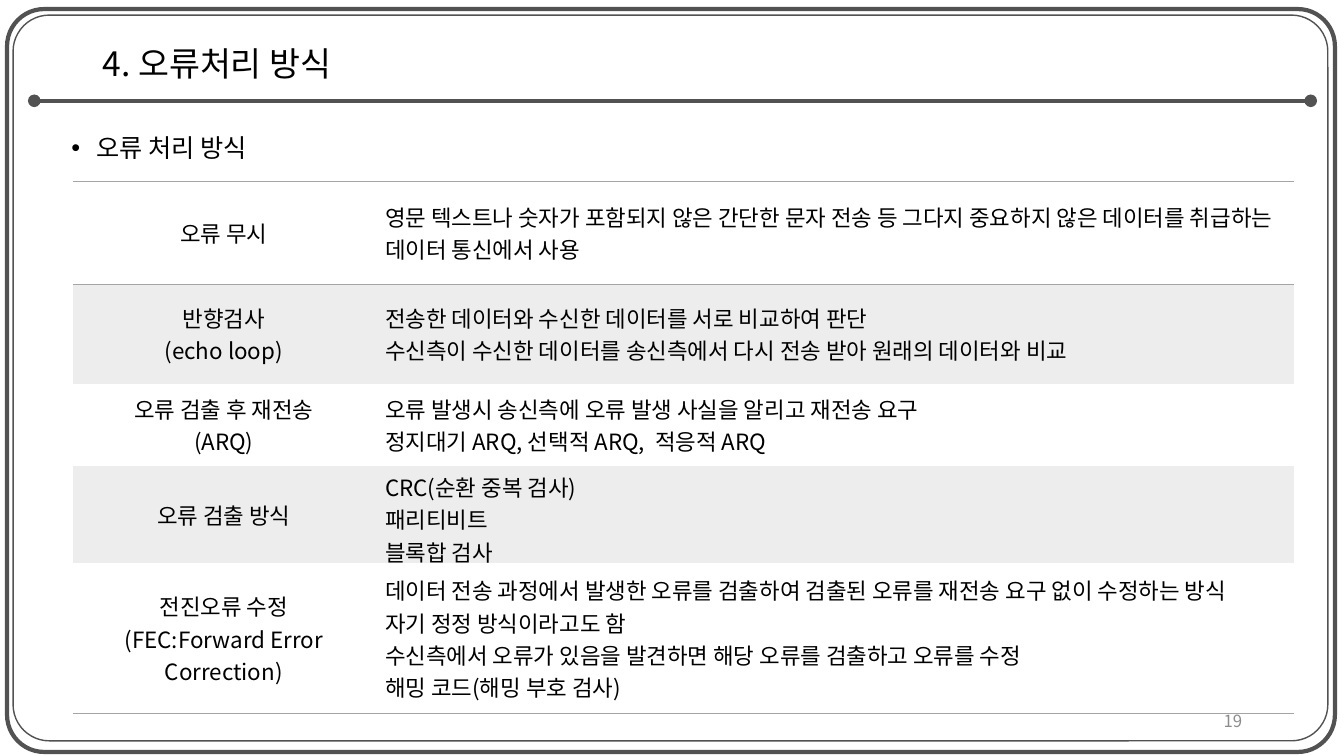
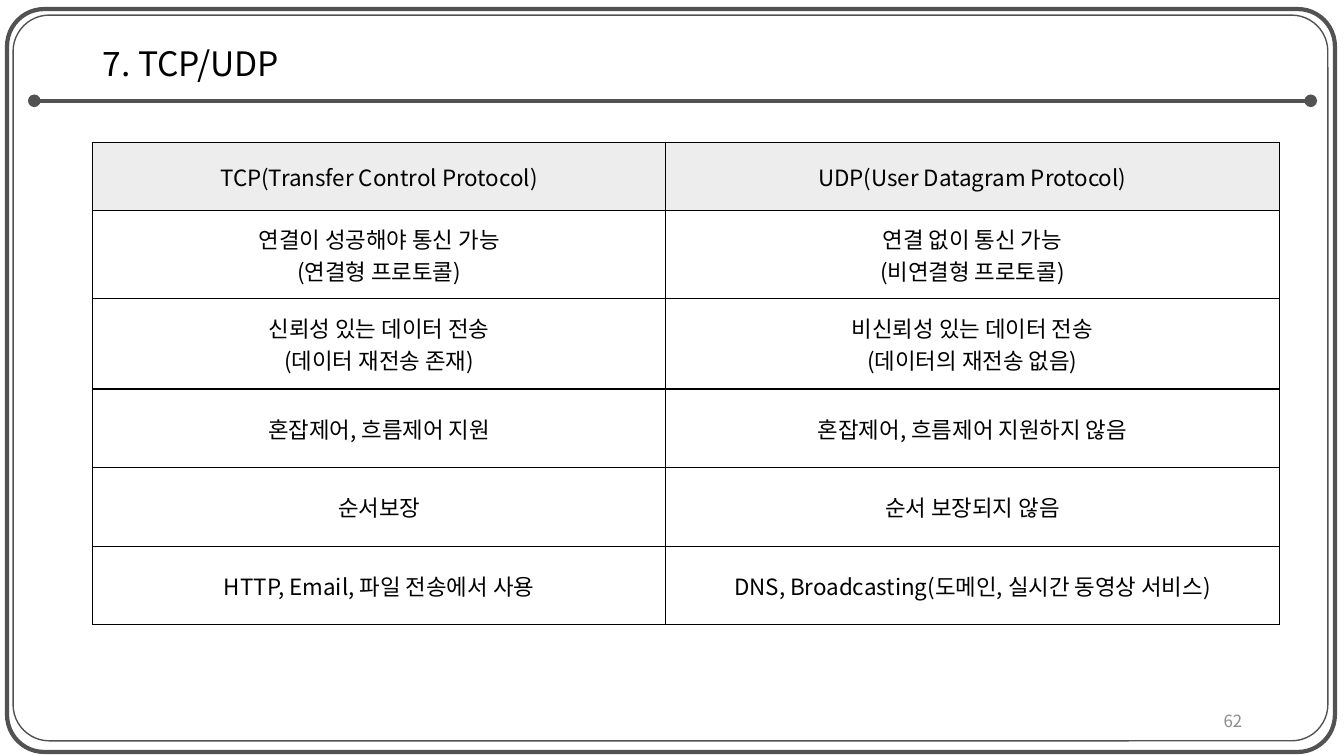
from lxml.etree import SubElement
from pptx import Presentation
from pptx.dml.color import RGBColor
from pptx.enum.shapes import MSO_CONNECTOR, MSO_SHAPE
from pptx.enum.text import MSO_ANCHOR, PP_ALIGN
from pptx.oxml.ns import qn
from pptx.util import Pt

PX = 9144
FONT = "Noto Sans CJK KR"
PLAIN = "{2D5ABB26-0587-4C30-8999-92F81FD0307C}"
HEX = {"ink": "000000", "frame": "525252", "rule": "A5A5A5", "band": "EDEDED", "page": "8C8C8C"}
RGB = {name: RGBColor.from_string(code) for name, code in HEX.items()}


def write(frame, text, size, align=PP_ALIGN.LEFT, color="ink"):
    frame.word_wrap = True
    frame.text = text
    for para in frame.paragraphs:
        para.alignment = align
        for run in para.runs:
            run.font.size = Pt(size)
            run.font.color.rgb = RGB[color]
            run.font.name = FONT
            SubElement(run.font._element, qn("a:ea"), typeface=FONT)


def edge(cell, sides, color):
    props = cell._tc.get_or_add_tcPr()
    for side in sides:
        line = SubElement(props, qn("a:ln" + side), w=str(Pt(1)))
        fill = SubElement(line, qn("a:solidFill"))
        SubElement(fill, qn("a:srgbClr"), val=HEX[color])


errors = [
    ("오류 무시", "영문 텍스트나 숫자가 포함되지 않은 간단한 문자 전송 등 그다지 중요하지 않은 데이터를 취급하는 데이터 통신에서 사용"),
    ("반향검사\n(echo loop)",
     "전송한 데이터와 수신한 데이터를 서로 비교하여 판단\n"
     "수신측이 수신한 데이터를 송신측에서 다시 전송 받아 원래의 데이터와 비교"),
    ("오류 검출 후 재전송\n(ARQ)",
     "오류 발생시 송신측에 오류 발생 사실을 알리고 재전송 요구\n"
     "정지대기 ARQ, 선택적 ARQ,  적응적 ARQ"),
    ("오류 검출 방식", "CRC(순환 중복 검사)\n패리티비트\n블록합 검사"),
    ("전진오류 수정\n(FEC:Forward Error Correction)",
     "데이터 전송 과정에서 발생한 오류를 검출하여 검출된 오류를 재전송 요구 없이 수정하는 방식\n"
     "자기 정정 방식이라고도 함\n"
     "수신측에서 오류가 있음을 발견하면 해당 오류를 검출하고 오류를 수정\n"
     "해밍 코드(해밍 부호 검사)"),
]
protocols = [
    ("TCP(Transfer Control Protocol)", "UDP(User Datagram Protocol)"),
    ("연결이 성공해야 통신 가능\n(연결형 프로토콜)", "연결 없이 통신 가능\n(비연결형 프로토콜)"),
    ("신뢰성 있는 데이터 전송\n(데이터 재전송 존재)", "비신뢰성 있는 데이터 전송\n(데이터의 재전송 없음)"),
    ("혼잡제어, 흐름제어 지원", "혼잡제어, 흐름제어 지원하지 않음"),
    ("순서보장", "순서 보장되지 않음"),
    ("HTTP, Email, 파일 전송에서 사용", "DNS, Broadcasting(도메인, 실시간 동영상 서비스)"),
]
pages = [
    {"title": "4. 오류처리 방식", "point": "오류 처리 방식", "page": "19",
     "at": (72, 180), "cols": (300, 911), "rows": (102, 99, 81, 97, 149), "cells": errors,
     "align": (PP_ALIGN.CENTER, PP_ALIGN.LEFT), "bands": (1, 3),
     "edges": {0: "TB", 4: "B"}, "rule": "rule"},
    {"title": "7. TCP/UDP", "point": None, "page": "62",
     "at": (92, 141), "cols": (568, 609), "rows": (68, 87, 90, 78, 78, 78), "cells": protocols,
     "align": (PP_ALIGN.CENTER, PP_ALIGN.CENTER), "bands": (0,),
     "edges": dict.fromkeys(range(6), "LRTB"), "rule": "ink"},
]

deck = Presentation()
deck.slide_width, deck.slide_height = 1333 * PX, 750 * PX

for page in pages:
    slide = deck.slides.add_slide(deck.slide_layouts[6])
    shapes = slide.shapes

    for box, width in (((13, 15, 1304, 720), 1), ((7, 9, 1317, 737), 3)):
        frame = shapes.add_shape(MSO_SHAPE.ROUNDED_RECTANGLE, *[n * PX for n in box])
        frame.adjustments[0] = 0.05
        frame.shadow.inherit = False
        frame.fill.background()
        frame.line.color.rgb = RGB["frame"]
        frame.line.width = Pt(width)

    bar = shapes.add_connector(MSO_CONNECTOR.STRAIGHT, 34 * PX, 100 * PX, 1300 * PX, 100 * PX)
    bar.line.color.rgb = RGB["frame"]
    bar.line.width = Pt(3)
    for end in ("a:headEnd", "a:tailEnd"):
        SubElement(bar.line._get_or_add_ln(), qn(end), type="oval")
    SubElement(bar._element.spPr, qn("a:effectLst"))

    title = shapes.add_textbox(92 * PX, 30 * PX, 1150 * PX, 70 * PX).text_frame
    write(title, page["title"], 24)
    title.vertical_anchor = MSO_ANCHOR.MIDDLE
    title.paragraphs[0].line_spacing = 0.9

    if page["point"]:
        body = shapes.add_textbox(61 * PX, 130 * PX, 1211 * PX, 45 * PX).text_frame
        write(body, page["point"], 18)
        para = body.paragraphs[0]
        para.line_spacing = 0.9
        para.space_before = Pt(10)
        props = para._p.get_or_add_pPr()
        props.set("marL", str(25 * PX))
        props.set("indent", str(-25 * PX))
        SubElement(props, qn("a:buFont"), typeface="Arial")
        SubElement(props, qn("a:buChar"), char="•")

    left, top = page["at"]
    cols, rows = page["cols"], page["rows"]
    table = shapes.add_table(len(rows), len(cols), left * PX, top * PX,
                             sum(cols) * PX, sum(rows) * PX).table
    table.first_row = table.horz_banding = False
    table._tbl.tblPr.find(qn("a:tableStyleId")).text = PLAIN
    for col, width in zip(table.columns, cols):
        col.width = width * PX
    for i, texts in enumerate(page["cells"]):
        table.rows[i].height = rows[i] * PX
        for j, text in enumerate(texts):
            cell = table.cell(i, j)
            write(cell.text_frame, text, 16, page["align"][j])
            cell.vertical_anchor = MSO_ANCHOR.MIDDLE
            edge(cell, page["edges"].get(i, ""), page["rule"])
            if i in page["bands"]:
                cell.fill.solid()
                cell.fill.fore_color.rgb = RGB["band"]
            else:
                cell.fill.background()

    foot = shapes.add_textbox(942 * PX, 695 * PX, 300 * PX, 40 * PX).text_frame
    write(foot, page["page"], 12, PP_ALIGN.RIGHT, "page")
    foot.vertical_anchor = MSO_ANCHOR.MIDDLE

deck.save("out.pptx")
